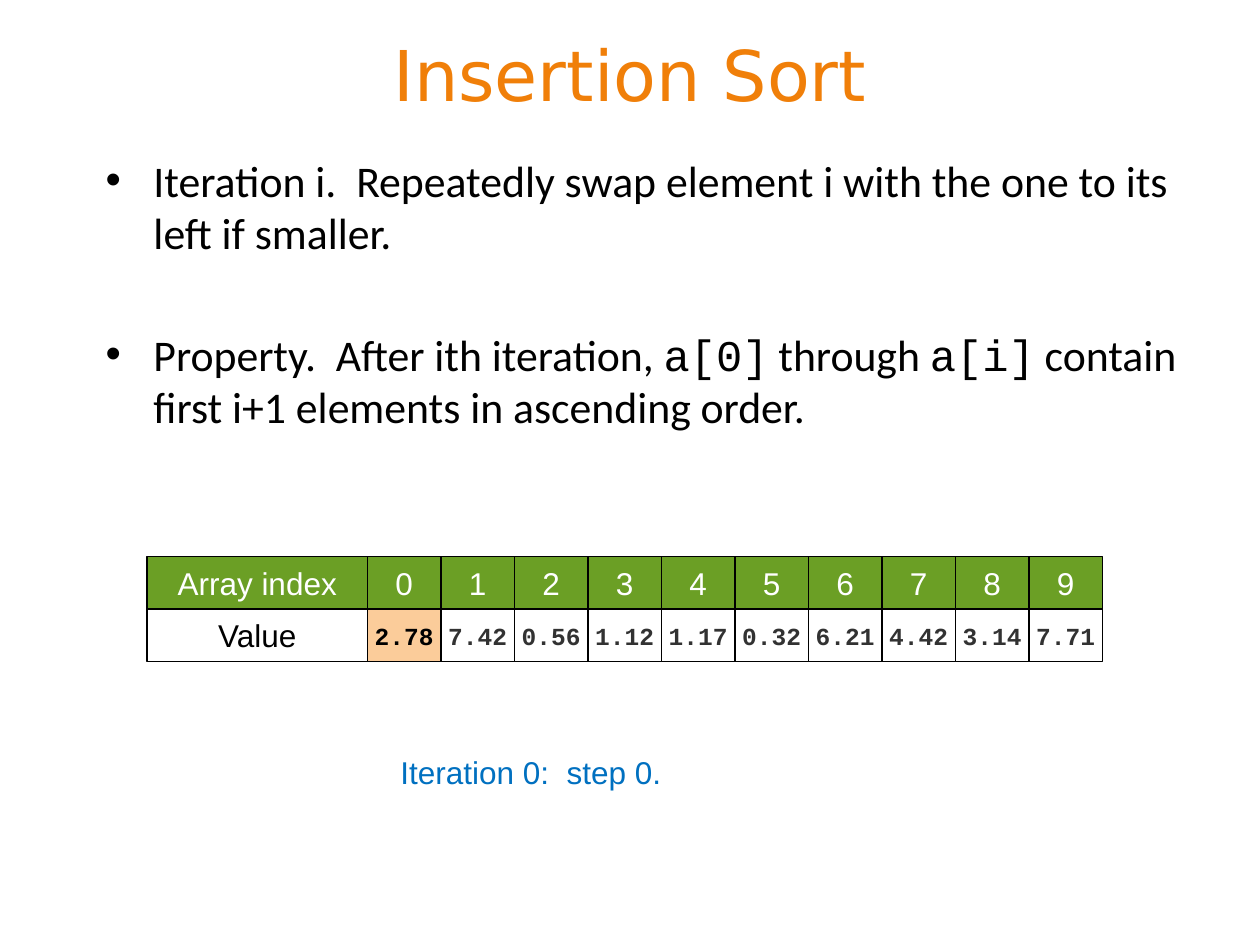
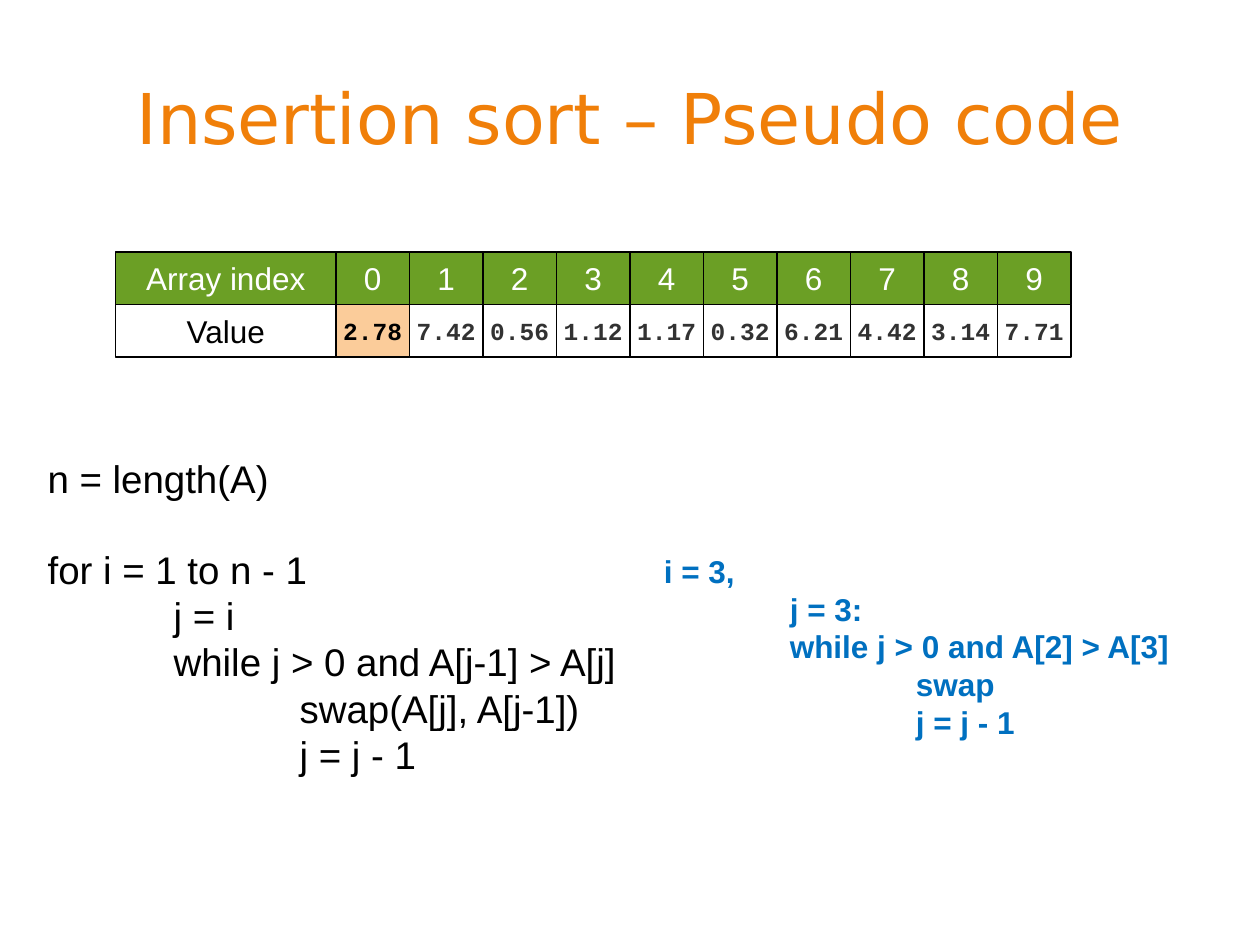
from pptx import Presentation
from pptx.dml.color import RGBColor as RGB
from pptx.enum.shapes import MSO_SHAPE as Shape
from pptx.enum.text import MSO_ANCHOR as Anchor, PP_ALIGN as Align
from pptx.oxml import parse_xml
from pptx.oxml.ns import nsdecls
from pptx.util import Inches, Pt

ORANGE = RGB(0xF0, 0x7F, 0x09)
GREEN = RGB(0x6B, 0x9F, 0x25)
PEACH = RGB(0xFB, 0xCC, 0x9A)
BLUE = RGB(0x00, 0x70, 0xC0)
GRAY = RGB(0x32, 0x32, 0x32)
BLACK = RGB(0x00, 0x00, 0x00)
WHITE = RGB(0xFF, 0xFF, 0xFF)
SANS, BODY, MONO, HEAD = "Arial", "Calibri", "Courier New", "DejaVu Sans"

ARRAY = ["2.78", "7.42", "0.56", "1.12", "1.17", "0.32", "6.21", "4.42", "3.14", "7.71"]
ARRAY_ROWS = [["Array index", *map(str, range(len(ARRAY)))], ["Value", *ARRAY]]
CURRENT = 0

RULES = [
    [("Iteration i.  Repeatedly swap element i with the one to its left if smaller.", BODY)],
    [
        ("Property.  After ith iteration, ", BODY),
        ("a[0]", MONO),
        (" through ", BODY),
        ("a[i]", MONO),
        (" contain first i+1 elements in ascending order.", BODY),
    ],
]
STEP = ["Iteration 0:  step 0."]
PSEUDO_CODE = [
    "n = length(A)",
    "for i = 1 to n - 1",
    "\tj = i",
    "\twhile j > 0 and A[j-1] > A[j]",
    "\t\tswap(A[j], A[j-1])",
    "\t\tj = j - 1",
]
TRACE = [
    "i = 3,",
    "\tj = 3:",
    "\twhile j > 0 and A[2] > A[3]",
    "\t\tswap",
    "\t\tj = j - 1",
]

TWELFTH = Inches(1) // 12
CELL_WIDTH, ROW_HEIGHT, LABEL_CELLS = 7 * TWELFTH, 5 * TWELFTH, 3


def set_font(paragraph, name, size, color, bold=False):
    font = paragraph.font
    font.name, font.size, font.bold = name, Pt(size), bold
    font.color.rgb = color


def add_titled_slide(deck, title, top):
    slide = deck.slides.add_slide(deck.slide_layouts[5])
    heading = slide.shapes.title
    heading.left, heading.top = Inches(0.5), Inches(top)
    heading.width, heading.height = Inches(9), Inches(1.25)
    heading.text_frame.text = title
    heading.text_frame.vertical_anchor = Anchor.MIDDLE
    heading.text_frame.paragraphs[0].alignment = Align.CENTER
    set_font(heading.text_frame.paragraphs[0], HEAD, 40, ORANGE)
    return slide


def add_frame(slide, left, top, width, height):
    frame = slide.shapes.add_textbox(*map(Inches, (left, top, width, height))).text_frame
    frame.word_wrap = True
    return frame


def add_lines(slide, lines, box, size, color, bold=False):
    frame = add_frame(slide, *box)
    for number, line in enumerate(lines):
        paragraph = frame.paragraphs[0] if number == 0 else frame.add_paragraph()
        paragraph._p.get_or_add_pPr().set("defTabSz", str(Inches(1)))
        paragraph.add_run().text = line
        set_font(paragraph, SANS, size, color, bold)
    return frame


def add_rules(slide, box):
    frame = add_frame(slide, *box)
    for number, rule in enumerate(RULES):
        paragraph = frame.paragraphs[0] if number == 0 else frame.add_paragraph()
        properties = paragraph._p.get_or_add_pPr()
        properties.set("marL", str(Inches(0.38)))
        properties.set("indent", str(-Inches(0.38)))
        properties.append(parse_xml(f'<a:buFont {nsdecls("a")} typeface="Arial"/>'))
        properties.append(parse_xml(f'<a:buChar {nsdecls("a")} char="•"/>'))
        if number:
            paragraph.space_before = Pt(39.5)
        set_font(paragraph, BODY, 25, BLACK)
        for words, font_name in rule:
            run = paragraph.add_run()
            run.text, run.font.name = words, font_name


def cell_style(row, column):
    if row == 0:
        return GREEN, (SANS, 18, WHITE)
    if column == 0:
        return WHITE, (SANS, 18, BLACK)
    if column - 1 == CURRENT:
        return PEACH, (MONO, 14, BLACK, True)
    return WHITE, (MONO, 14, GRAY, True)


def add_array(slide, left, top):
    array = slide.shapes.add_group_shape()
    for r, values in enumerate(ARRAY_ROWS):
        for c, value in enumerate(values):
            fill, font = cell_style(r, c)
            offset, span = (LABEL_CELLS + c - 1, 1) if c else (0, LABEL_CELLS)
            cell = array.shapes.add_shape(
                Shape.RECTANGLE, left + offset * CELL_WIDTH, top + r * ROW_HEIGHT,
                span * CELL_WIDTH, ROW_HEIGHT)
            cell.shadow.inherit = False
            cell.fill.solid()
            cell.fill.fore_color.rgb = fill
            cell.line.color.rgb = BLACK
            cell.line.width = Pt(0.75)
            frame = cell.text_frame
            frame.word_wrap = False
            frame.vertical_anchor = Anchor.MIDDLE
            frame.text = value
            frame.paragraphs[0].alignment = Align.CENTER
            set_font(frame.paragraphs[0], *font)


def main():
    deck = Presentation()
    deck.slide_width, deck.slide_height = Inches(10), Inches(7.5)

    overview = add_titled_slide(deck, "Insertion Sort", -0.04)
    add_rules(overview, (0.74, 1.17, 8.83, 5.92))
    add_array(overview, 14 * TWELFTH, 53 * TWELFTH)
    add_lines(overview, STEP, (3.08, 5.93, 4.08, 0.4), 18, BLUE)

    pseudo = add_titled_slide(deck, "Insertion sort – Pseudo code", 0.3)
    add_array(pseudo, 11 * TWELFTH, 24 * TWELFTH)
    code = add_lines(pseudo, PSEUDO_CODE, (0.28, 3.56, 5, 3.06), 22, BLACK)
    code.paragraphs[1].space_before = Pt(25.8)
    add_lines(pseudo, TRACE, (5.17, 4.33, 4.58, 1.62), 18, BLUE, True)

    deck.save("out.pptx")


if __name__ == "__main__":
    main()
